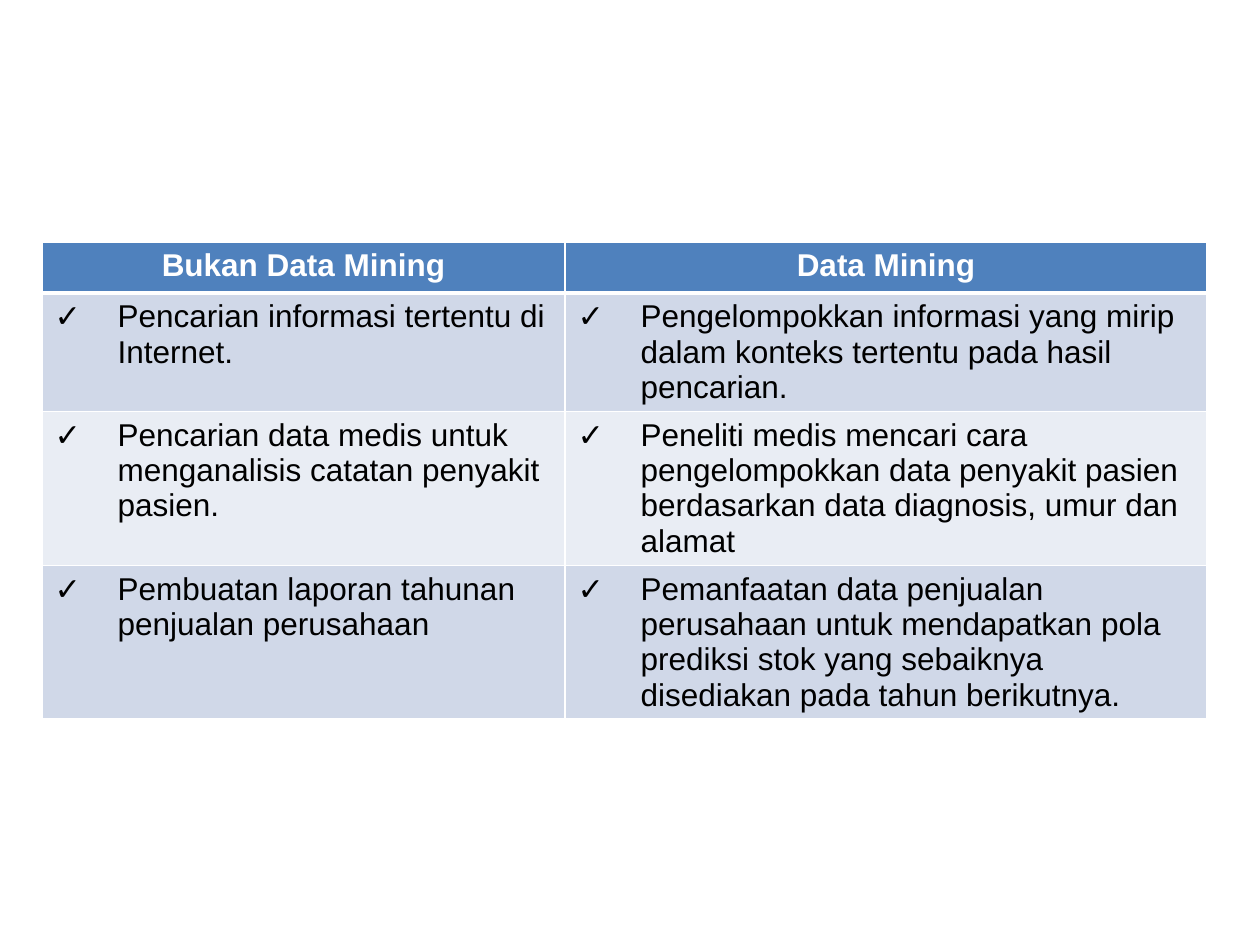
from lxml.etree import SubElement
from pptx import Presentation
from pptx.dml.color import RGBColor
from pptx.enum.text import PP_ALIGN
from pptx.oxml.ns import qn
from pptx.util import Pt

EMU_PER_PX = 914400 / 126
FONT = "Arial"
WHITE = "FFFFFF"
HEADER_FILL = "4F81BD"
BAND_FILLS = ("D0D8E8", "E9EDF4")
COLUMN_WIDTHS = (523, 642)
ROW_HEIGHTS = (51, 118, 154, 153)
HEADERS = ("Bukan Data Mining", "Data Mining")
COMPARISONS = (
    ("Pencarian informasi tertentu di Internet.",
     "Pengelompokkan informasi yang mirip dalam konteks tertentu pada hasil pencarian."),
    ("Pencarian data medis untuk menganalisis catatan penyakit pasien.",
     "Peneliti medis mencari cara pengelompokkan data penyakit pasien "
     "berdasarkan data diagnosis, umur dan alamat"),
    ("Pembuatan laporan tahunan penjualan perusahaan",
     "Pemanfaatan data penjualan perusahaan untuk mendapatkan pola prediksi stok "
     "yang sebaiknya disediakan pada tahun berikutnya."),
)


def px(n):
    return round(n * EMU_PER_PX)


def rgb(value):
    return RGBColor.from_string(value)


def add_bullet(p, char, indent):
    pPr = p._p.get_or_add_pPr()
    pPr.set("marL", str(px(indent)))
    pPr.set("indent", str(-px(indent)))
    SubElement(pPr, qn("a:buFont"), typeface=FONT)
    SubElement(pPr, qn("a:buChar"), char=char)


def write_text(tf, text, size=18, color="000000", bold=False, align=None, bullet=None):
    p = tf.paragraphs[0]
    p.alignment = align
    if bullet:
        add_bullet(p, bullet, 63)
    r = p.add_run()
    r.text = text
    r.font.name = FONT
    r.font.size = Pt(size)
    r.font.bold = bold
    r.font.color.rgb = rgb(color)


def set_borders(cell, top=1, bottom=1):
    tcPr = cell._tc.get_or_add_tcPr()
    for side, width in (("L", 1), ("R", 1), ("T", top), ("B", bottom)):
        ln = SubElement(tcPr, qn(f"a:ln{side}"), w=str(Pt(width)))
        fill = SubElement(ln, qn("a:solidFill"))
        SubElement(fill, qn("a:srgbClr"), val=WHITE)


def format_cell(cell, text, fill, top=1, bottom=1, **text_format):
    set_borders(cell, top, bottom)
    cell.fill.solid()
    cell.fill.fore_color.rgb = rgb(fill)
    write_text(cell.text_frame, text, **text_format)


def add_comparison_table(s, left, top):
    table = s.shapes.add_table(
        len(ROW_HEIGHTS), len(COLUMN_WIDTHS), px(left), px(top),
        px(sum(COLUMN_WIDTHS)), px(sum(ROW_HEIGHTS))).table
    for column, width in zip(table.columns, COLUMN_WIDTHS):
        column.width = px(width)
    for row, height in zip(table.rows, ROW_HEIGHTS):
        row.height = px(height)
    for j, text in enumerate(HEADERS):
        format_cell(table.cell(0, j), text, HEADER_FILL, bottom=3,
                    color=WHITE, bold=True, align=PP_ALIGN.CENTER)
    for i, texts in enumerate(COMPARISONS):
        for j, text in enumerate(texts):
            format_cell(table.cell(i + 1, j), text, BAND_FILLS[i % 2],
                        top=1 if i else 3, bullet="✓")


def main():
    prs = Presentation()
    prs.slide_width = px(1260)
    prs.slide_height = px(945)
    s = prs.slides.add_slide(prs.slide_layouts[6])
    add_comparison_table(s, 42, 242)
    prs.save("out.pptx")


if __name__ == "__main__":
    main()
